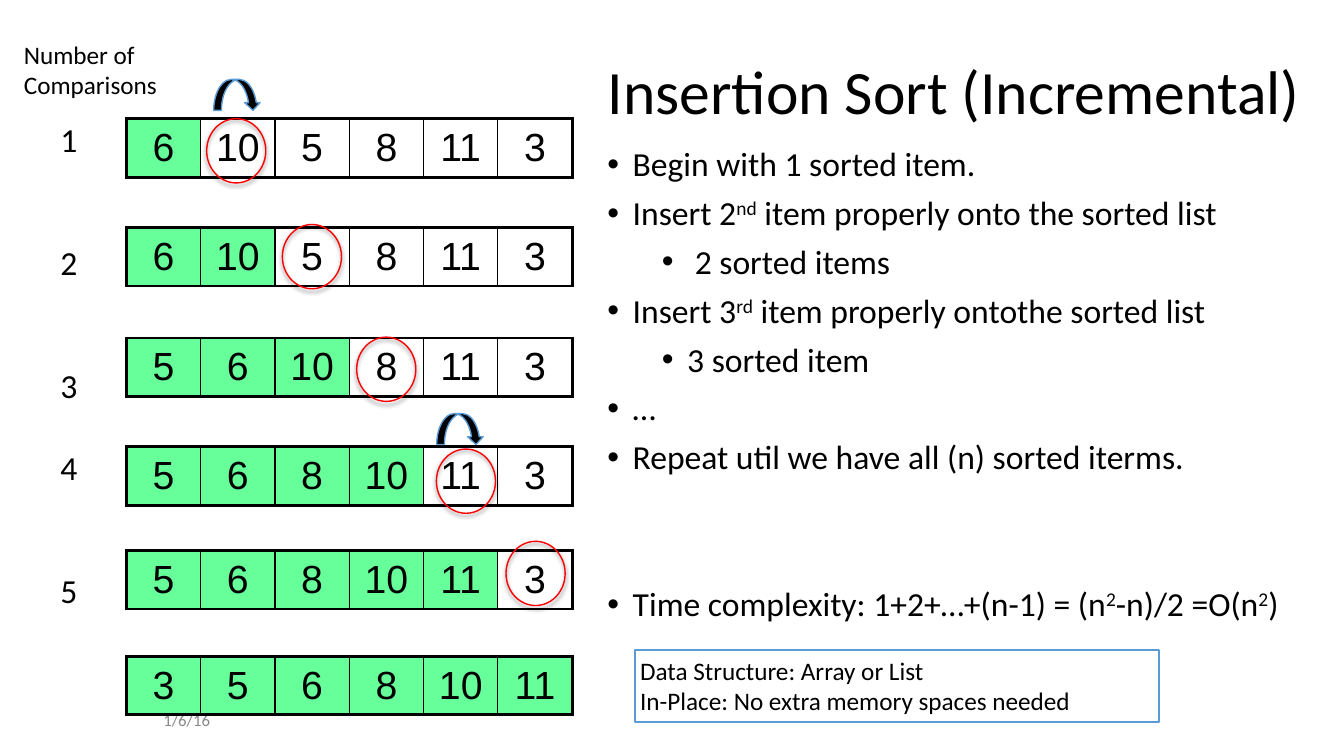
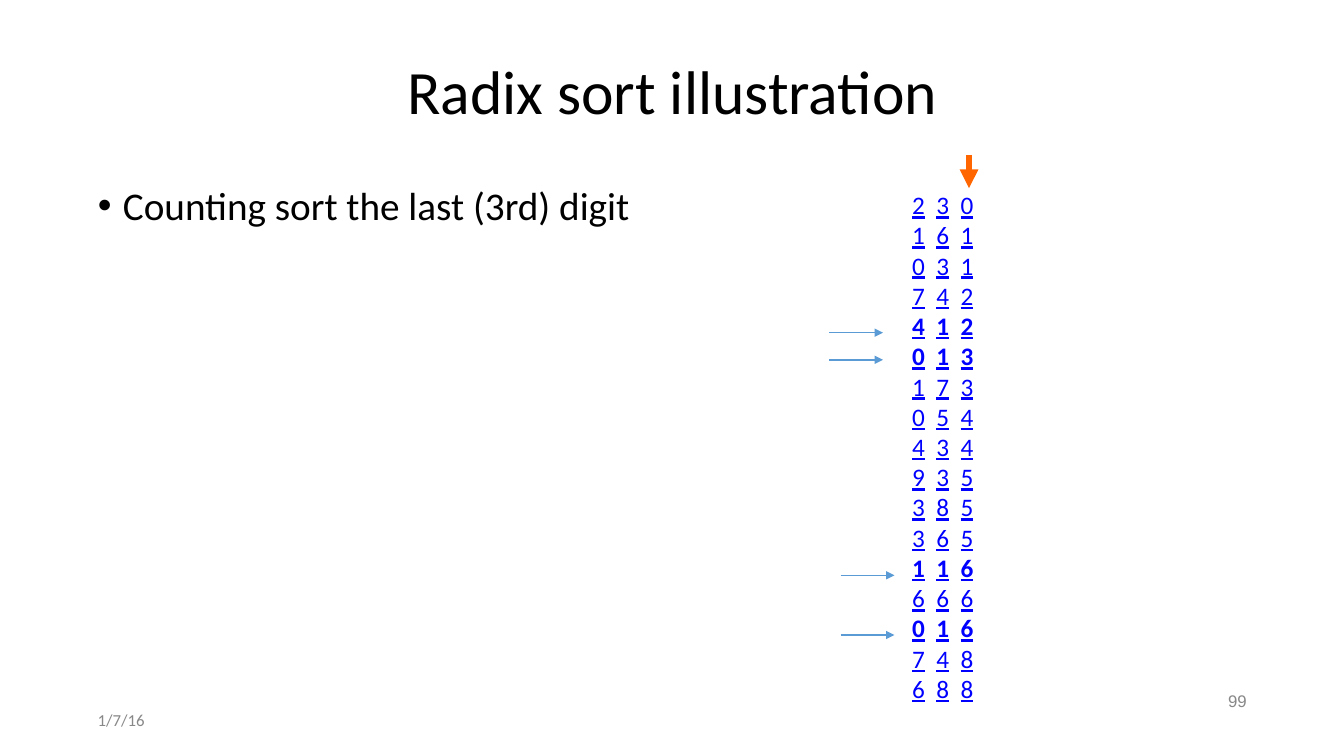
import lxml.etree
import pptx
import pptx.dml.color
import pptx.enum.shapes
import pptx.enum.text
import pptx.oxml.ns
import pptx.util

Pt = pptx.util.Pt
Inches = pptx.util.Inches
Align = pptx.enum.text.PP_ALIGN
Anchor = pptx.enum.text.MSO_ANCHOR
Shape = pptx.enum.shapes.MSO_SHAPE

COLOR = {"ink": "000000", "grey": "888888", "done": "66FF99", "ring": "FF0000",
         "edge": "5B9BD5", "digit": "0000FF", "mark": "FF6600"}
WIDE, HIGH = Inches(13.33), Inches(7.5)
COL, ROW = WIDE / 100, HIGH / 100

FONT = {
    "title": {"name": "Calibri", "size": Pt(44)},
    "list": {"name": "Calibri", "size": Pt(24)},
    "large": {"name": "Calibri", "size": Pt(28)},
    "note": {"name": "Calibri", "size": Pt(18)},
    "cell": {"name": "Arial", "size": Pt(28)},
    "date": {"name": "Calibri", "size": Pt(12)},
    "page": {"name": "Arial", "size": Pt(12)},
    "digit": {"name": "Calibri", "size": Pt(18), "underline": True},
}
TINT = {"date": "grey", "page": "grey", "digit": "digit"}

STEPS = [
    {"top": 0, "items": [6, 10, 5, 8, 11, 3], "done": 1, "ring": (0.45, 0), "jump": 5.2},
    {"top": 14.4, "items": [6, 10, 5, 8, 11, 3], "done": 2, "ring": (0.55, -0.4)},
    {"top": 29, "items": [5, 6, 10, 8, 11, 3], "done": 3, "ring": (0.55, -0.1)},
    {"top": 43.4, "items": [5, 6, 8, 10, 11, 3], "done": 4, "ring": (0.95, 0.3), "jump": 4.4},
    {"top": 57.1, "items": [5, 6, 8, 10, 11, 3], "done": 5, "ring": (0.6, -1.2)},
    {"top": 71.1, "items": [3, 5, 6, 8, 10, 11], "done": 6},
]
POINTS = [
    (0, "Begin with 1 sorted item.", 0),
    (0, "Insert 2^nd^ item properly onto the sorted list", 9),
    (1, " 2 sorted items", 9),
    (0, "Insert 3^rd^ item properly ontothe sorted list", 9),
    (1, "3 sorted item", 9),
    (0, "…", 9),
    (0, "Repeat util we have all (n) sorted iterms.", 9),
    (0, "Time complexity: 1+2+…+(n-1) = (n^2^-n)/2 =O(n^2^)", 79),
]
KEYS = ["230", "161", "031", "742", "412", "013", "173", "054", "434",
        "935", "385", "365", "116", "666", "016", "748", "688"]
BOLD = {"412", "013", "116", "016"}


def apply(thing, values):
    for name, value in values.items():
        setattr(thing, name, value)


def rgb(name):
    return pptx.dml.color.RGBColor.from_string(COLOR[name])


def node(parent, tag, **values):
    child = lxml.etree.SubElement(parent, pptx.oxml.ns.qn(tag))
    for name, value in values.items():
        child.set(name, str(value))
    return child


def span(left, top, width, height):
    return [round(left * COL), round(top * ROW), round(width * COL), round(height * ROW)]


def frame(shape, pad=0.05, anchor=Anchor.TOP):
    text = shape.text_frame
    apply(text, {"word_wrap": True, "auto_size": pptx.enum.text.MSO_AUTO_SIZE.NONE,
                 "vertical_anchor": anchor})
    apply(text, {"margin_" + side: Inches(pad) for side in ("left", "right", "top", "bottom")})
    return text


def write(para, text, style, align=Align.LEFT, bold=False):
    para.alignment = align
    for turn, part in enumerate(text.split("^")):
        run = para.add_run()
        run.text = part
        apply(run.font, FONT[style])
        run.font.bold = bold
        run.font.color.rgb = rgb(TINT.get(style, "ink"))
        if turn % 2:
            run._r.get_or_add_rPr().set("baseline", "30000")


def rows(text, count):
    return [text.paragraphs[0]] + [text.add_paragraph() for _ in range(count - 1)]


def label(slide, box, lines, style, pad=0.05, anchor=Anchor.TOP, align=Align.LEFT):
    text = frame(slide.shapes.add_textbox(*span(*box)), pad, anchor)
    for para, line in zip(rows(text, len(lines)), lines):
        write(para, line, style, align)


def stroke(line, color, width):
    line.color.rgb = rgb(color)
    line.width = Pt(width)


def draw(slide, kind, box, line, fill=None):
    shape = slide.shapes.add_shape(kind, *span(*box))
    shape.shadow.inherit = False
    if fill:
        shape.fill.solid()
        shape.fill.fore_color.rgb = rgb(fill)
    else:
        shape.fill.background()
    stroke(shape.line, line, 1)
    return shape


def arrow(slide, start, end, color, width):
    left, top, right, base = span(*start, *end)
    line = slide.shapes.add_connector(
        pptx.enum.shapes.MSO_CONNECTOR.STRAIGHT, left, top, right, base)
    stroke(line.line, color, width)
    node(line.line._get_or_add_ln(), "a:tailEnd", type="triangle")
    node(line._element.spPr, "a:effectLst")


def head(slide, box, text, pad):
    shape = slide.shapes.title
    apply(shape, dict(zip(("left", "top", "width", "height"), span(*box))))
    para = frame(shape, pad, Anchor.MIDDLE).paragraphs[0]
    para.line_spacing = 0.9
    write(para, text, "title", Align.CENTER)


def points(slide, box, items, style, pad):
    shape = slide.placeholders[1]
    apply(shape, dict(zip(("left", "top", "width", "height"), span(*box))))
    text = frame(shape, pad)
    for para, (level, line, gap) in zip(rows(text, len(items)), items):
        form = para._p.get_or_add_pPr()
        form.set("marL", str(Inches(0.79 if level else 0.25)))
        form.set("indent", str(Inches(-0.25)))
        node(form, "a:buFont", typeface="Arial")
        node(form, "a:buChar", char="•")
        apply(para, {"level": level, "line_spacing": 0.9, "space_before": Pt(gap)})
        write(para, line, style)


def date(slide, left, text, pad):
    label(slide, (left, 93.3, 22.5, 3.9), [text], "date", pad, Anchor.MIDDLE)


def edges(cell, first, last):
    form = cell._tc.get_or_add_tcPr()
    sides = {"L": first, "R": last, "T": True, "B": True}
    for side, thick in sides.items():
        line = node(form, "a:ln" + side, w=Pt(2.25 if thick else 1))
        node(node(line, "a:solidFill"), "a:srgbClr", val=COLOR["ink"])


def strip(slide, box, items, done):
    table = slide.shapes.add_table(1, len(items), *span(*box)).table
    apply(table, {"first_row": False, "horz_banding": False})
    for spot, item in enumerate(items):
        cell = table.cell(0, spot)
        edges(cell, spot == 0, spot == len(items) - 1)
        if spot < done:
            cell.fill.solid()
            cell.fill.fore_color.rgb = rgb("done")
        else:
            cell.fill.background()
        cell.vertical_anchor = Anchor.MIDDLE
        apply(cell, {"margin_" + side: Inches(0.05)
                     for side in ("left", "right", "top", "bottom")})
        write(cell.text_frame.paragraphs[0], str(item), "cell", Align.CENTER)


def ring(slide, left, top):
    shape = draw(slide, Shape.OVAL, (left, top, 4.4, 8.5), "ring")
    cast = shape._element.spPr.find(pptx.oxml.ns.qn("a:effectLst"))
    glow = node(cast, "a:outerShdw", blurRad=Pt(3), dist=Pt(2), dir=5400000, rotWithShape=0)
    node(node(glow, "a:srgbClr", val=COLOR["ink"]), "a:alpha", val=50000)


def trace(slide, box):
    left, top, width, height = box
    pitch = width / 6
    for step in STEPS:
        strip(slide, (left, top + step["top"], width, height), step["items"], step["done"])
    for step in STEPS:
        spot, level = left + pitch * step["done"], top + step["top"]
        if "jump" in step:
            draw(slide, Shape.CURVED_DOWN_ARROW,
                 (spot + 0.97, level - step["jump"], 3.5, 4.1), "edge", "ink")
        if "ring" in step:
            ring(slide, spot + step["ring"][0], level + step["ring"][1])


def counts(slide, box):
    left, top, width, height = box
    for count, line in enumerate((0, 3, 6, 8, 11), 1):
        label(slide, (left, top + line * height, width, height), [str(count)], "list", 0)


def digits(slide, box):
    left, top, width, height = box
    text = frame(slide.shapes.add_textbox(*span(*box)))
    for para, key in zip(rows(text, len(KEYS)), KEYS):
        tabs = node(para._p.get_or_add_pPr(), "a:tabLst")
        for stop in (0.24, 0.48):
            node(tabs, "a:tab", pos=Inches(stop), algn="l")
        write(para, "\t".join(key), "digit", bold=key in BOLD)
    arrow(slide, (left + 4.6, top - 3.9), (left + 4.6, top + 0.5), "mark", 4.5)
    for back, down in ((5.8, 19.6), (5.8, 23.2), (4.95, 51.7), (4.95, 59.6)):
        arrow(slide, (left - back, top + down), (left - back + 4, top + down), "edge", 1)


def insert(deck):
    slide = deck.slides.add_slide(deck.slide_layouts[1])
    head(slide, (45.2, 5.3, 51.6, 14.3), "Insertion Sort (Incremental)", 0)
    date(slide, 12.15, "1/6/16", 0)
    points(slide, (45.2, 19.5, 51.6, 73.9), POINTS, "list", 0)
    label(slide, (1.4, 4.5, 10.7, 9.5), ["Number of", "Comparisons"], "note")
    counts(slide, (4.5, 15.7, 3, 5.42))
    trace(slide, (9.4, 15.7, 33.18, 7.75))
    panel = draw(slide, Shape.RECTANGLE, (47.25, 86, 39, 9.5), "edge")
    lines = ["Data Structure: Array or List", "In-Place: No extra memory spaces needed"]
    for para, line in zip(rows(frame(panel), len(lines)), lines):
        write(para, line, "note")


def radix(deck):
    slide = deck.slides.add_slide(deck.slide_layouts[1])
    head(slide, (6.9, 5.3, 86.3, 14.3), "Radix sort illustration", 0.05)
    points(slide, (6.9, 24, 44.9, 66), [(0, "Counting sort the last (3rd) digit", 0)], "large", 0.05)
    digits(slide, (67.5, 24.4, 5.9, 70.5))
    date(slide, 6.9, "1/7/16", 0.05)
    label(slide, (70.65, 90.7, 22.5, 3.9), ["99"], "page", 0.05, Anchor.MIDDLE, Align.RIGHT)


def main():
    deck = pptx.Presentation()
    apply(deck, {"slide_width": WIDE, "slide_height": HIGH})
    insert(deck)
    radix(deck)
    deck.save("out.pptx")


if __name__ == "__main__":
    main()
